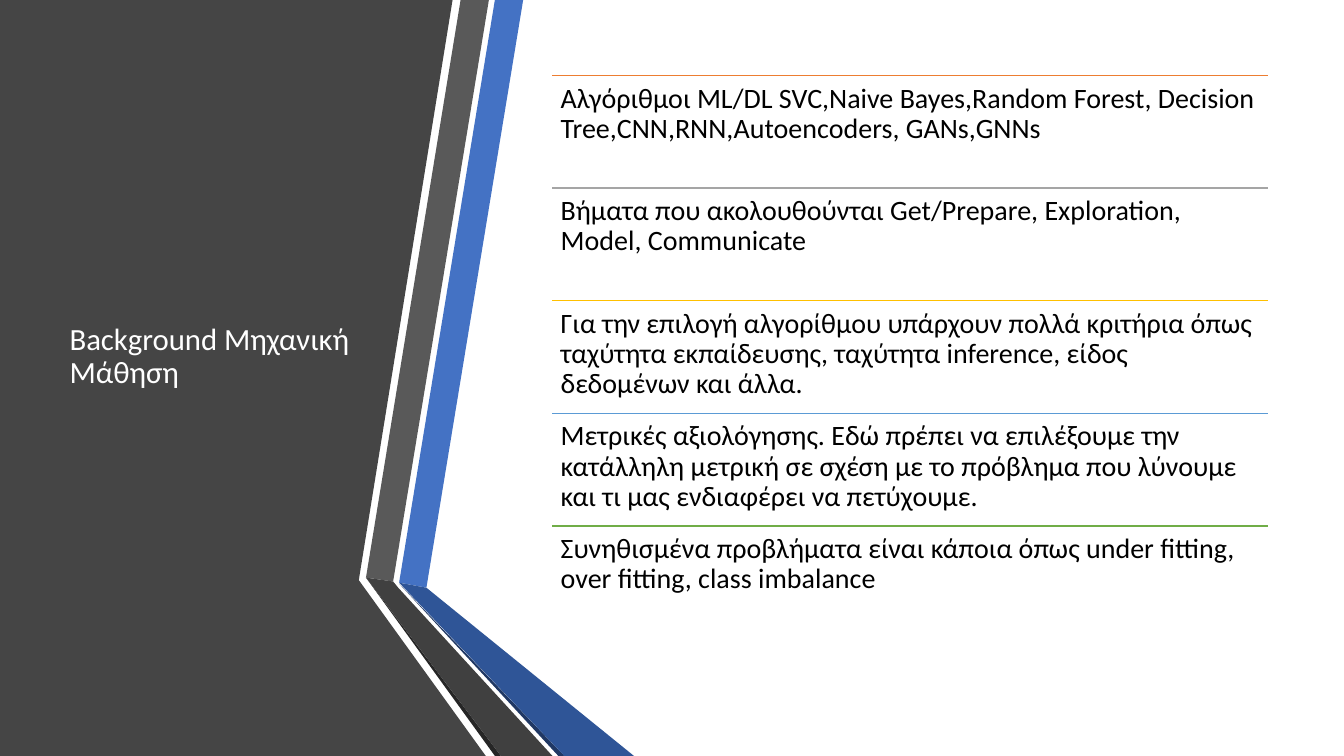
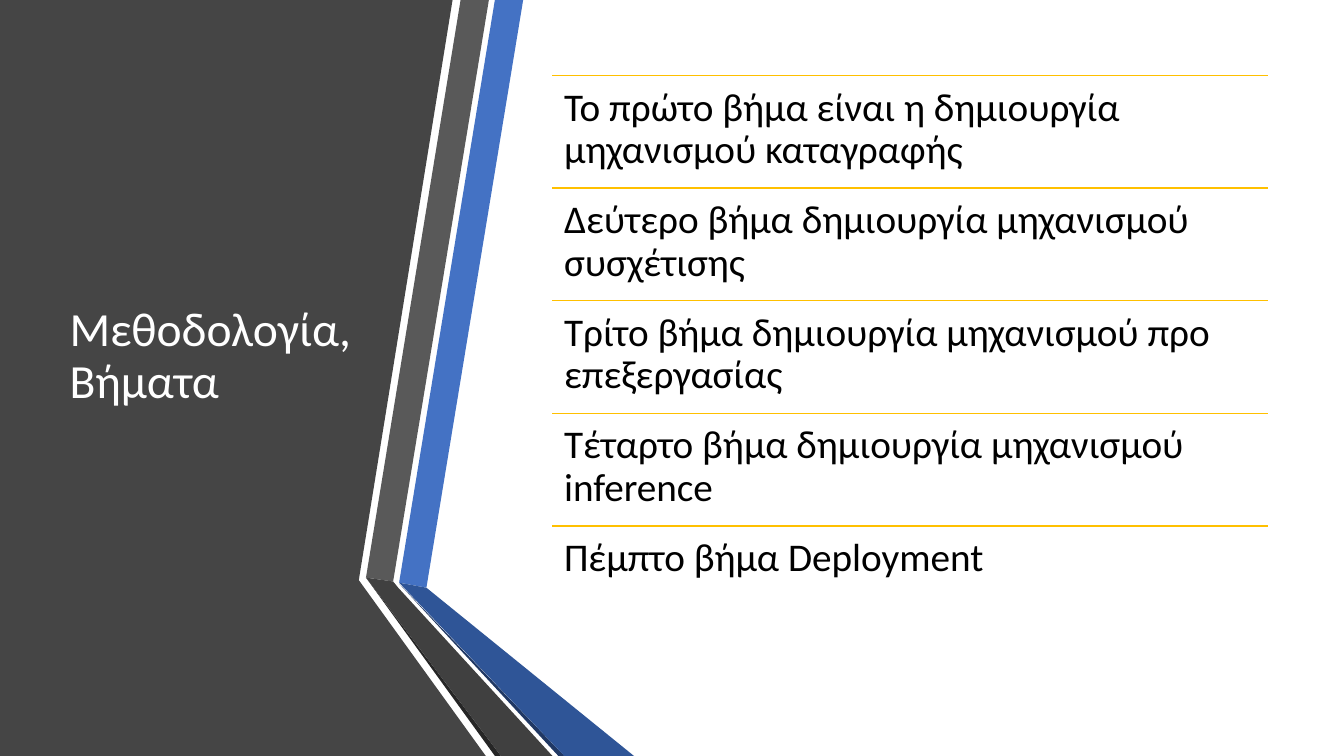
from lxml import etree
from pptx import Presentation
from pptx.dml.color import RGBColor
from pptx.enum.shapes import MSO_CONNECTOR
from pptx.enum.text import MSO_ANCHOR, MSO_AUTO_SIZE, PP_ALIGN
from pptx.oxml.ns import qn
from pptx.util import Pt

STRAIGHT = MSO_CONNECTOR.STRAIGHT
TOP, MIDDLE = MSO_ANCHOR.TOP, MSO_ANCHOR.MIDDLE
NO_FIT = MSO_AUTO_SIZE.NONE
LEFT = PP_ALIGN.LEFT

# Content
SLIDES = [
    {
        "title": "Background Μηχανική Μάθηση",
        "title_size": 22,
        "row_size": 20,
        "rules": ["orange", "silver", "gold", "sky", "green"],
        "rows": [
            "Αλγόριθμοι ML/DL SVC,Naive Bayes,Random Forest, Decision "
            "Tree,CNN,RNN,Autoencoders, GANs,GNNs",
            "Βήματα που ακολουθούνται Get/Prepare, Exploration, Model, Communicate",
            "Για την επιλογή αλγορίθμου υπάρχουν πολλά κριτήρια όπως ταχύτητα "
            "εκπαίδευσης, ταχύτητα inference, είδος δεδομένων και άλλα.",
            "Μετρικές αξιολόγησης. Εδώ πρέπει να επιλέξουμε την κατάλληλη μετρική "
            "σε σχέση με το πρόβλημα που λύνουμε και τι μας ενδιαφέρει να πετύχουμε.",
            "Συνηθισμένα προβλήματα είναι κάποια όπως under fitting, over fitting, "
            "class imbalance",
        ],
    },
    {
        "title": "Μεθοδολογία, Βήματα",
        "title_size": 34,
        "row_size": 28,
        "rules": ["gold"] * 5,
        "rows": [
            "Το πρώτο βήμα είναι η δημιουργία μηχανισμού καταγραφής",
            "Δεύτερο βήμα δημιουργία μηχανισμού συσχέτισης",
            "Τρίτο βήμα δημιουργία μηχανισμού προ επεξεργασίας",
            "Τέταρτο βήμα δημιουργία μηχανισμού inference",
            "Πέμπτο βήμα Deployment",
        ],
    },
]

# Shared style
FONT = "Calibri"
COLORS = {
    "panel": "454545", "blue": "4472C4", "gray": "595959", "soot": "262626",
    "navy": "203864", "deep_blue": "2F5597", "charcoal": "404040",
    "orange": "ED7D31", "silver": "A5A5A5", "gold": "FFC000",
    "sky": "5B9BD5", "green": "70AD47", "white": "FFFFFF", "black": "000000",
}
WIDTH, HEIGHT = 960, 540
TITLE_AREA = (42.5, 54, 219, 402)
ROW_LEFT, ROW_TOP, ROW_WIDTH, ROW_HEIGHT = 394.5, 54, 511, 80.4
INSET_RATIO = 0.3  # row margin relative to its text size

# Side panel and folded ribbons, back to front
BANDS = [
    ("panel", [(0, 0), (323.3, 0), (256.3, 414.4), (347, HEIGHT), (0, HEIGHT)]),
    ("blue", [(285.1, 416.2), (304.6, 419.8), (373.7, 0), (353.5, 0)]),
    ("gray", [(349.2, 0), (329, 0), (261.4, 412.6), (280.8, 415.4)]),
    ("soot", [(261.4, 412.6), (353.5, HEIGHT), (357.8, HEIGHT)]),
    ("navy", [(285.1, 416.9), (398.9, HEIGHT), (403.2, HEIGHT)]),
    ("deep_blue", [(285.1, 416.2), (403.2, HEIGHT), (452.9, HEIGHT), (304.6, 419.8)]),
    ("charcoal", [(394.6, HEIGHT), (284.4, 419.8), (280.8, 415.4),
                  (261.4, 412.6), (357.8, HEIGHT)]),
]


def color(name):
    return RGBColor.from_string(COLORS[name])


def add_band(page, name, points):
    start, *rest = [(Pt(x), Pt(y)) for x, y in points]
    builder = page.shapes.build_freeform(*start)
    builder.add_line_segments(rest, close=True)
    band = builder.convert_to_shape()
    band.shadow.inherit = False
    band.fill.solid()
    band.fill.fore_color.rgb = color(name)
    band.line.fill.background()


def write(box, text, size, color_name, anchor):
    frame = box.text_frame
    frame.word_wrap = True
    frame.auto_size = NO_FIT
    frame.vertical_anchor = anchor
    para = frame.paragraphs[0]
    para.alignment = LEFT
    para.line_spacing = 0.9
    span = para.add_run()
    span.text = text
    span.font.name = FONT
    span.font.size = Pt(size)
    span.font.color.rgb = color(color_name)


def set_title(page, text, size):
    title = page.shapes.title
    title.left, title.top, title.width, title.height = map(Pt, TITLE_AREA)
    write(title, text, size, "white", MIDDLE)
    # Bring the title in front of the panel
    title.element.getparent().append(title.element)


def add_row(page, index, text, size, rule_color):
    left, width = Pt(ROW_LEFT), Pt(ROW_WIDTH)
    top = Pt(ROW_TOP + index * ROW_HEIGHT)
    rule = page.shapes.add_connector(STRAIGHT, left, top, left + width, top)
    rule.line.color.rgb = color(rule_color)
    rule.line.width = Pt(1)
    etree.SubElement(rule.element.spPr, qn("a:effectLst"))

    box = page.shapes.add_textbox(left, top, width, Pt(ROW_HEIGHT))
    frame = box.text_frame
    inset = Pt(size * INSET_RATIO)
    frame.margin_left = frame.margin_right = inset
    frame.margin_top = frame.margin_bottom = inset
    write(box, text, size, "black", TOP)


def main():
    deck = Presentation()
    deck.slide_width, deck.slide_height = Pt(WIDTH), Pt(HEIGHT)
    title_only = deck.slide_layouts[5]
    for content in SLIDES:
        page = deck.slides.add_slide(title_only)
        for name, points in BANDS:
            add_band(page, name, points)
        set_title(page, content["title"], content["title_size"])
        for index, (text, rule) in enumerate(zip(content["rows"], content["rules"])):
            add_row(page, index, text, content["row_size"], rule)
    deck.save("out.pptx")


if __name__ == "__main__":
    main()
